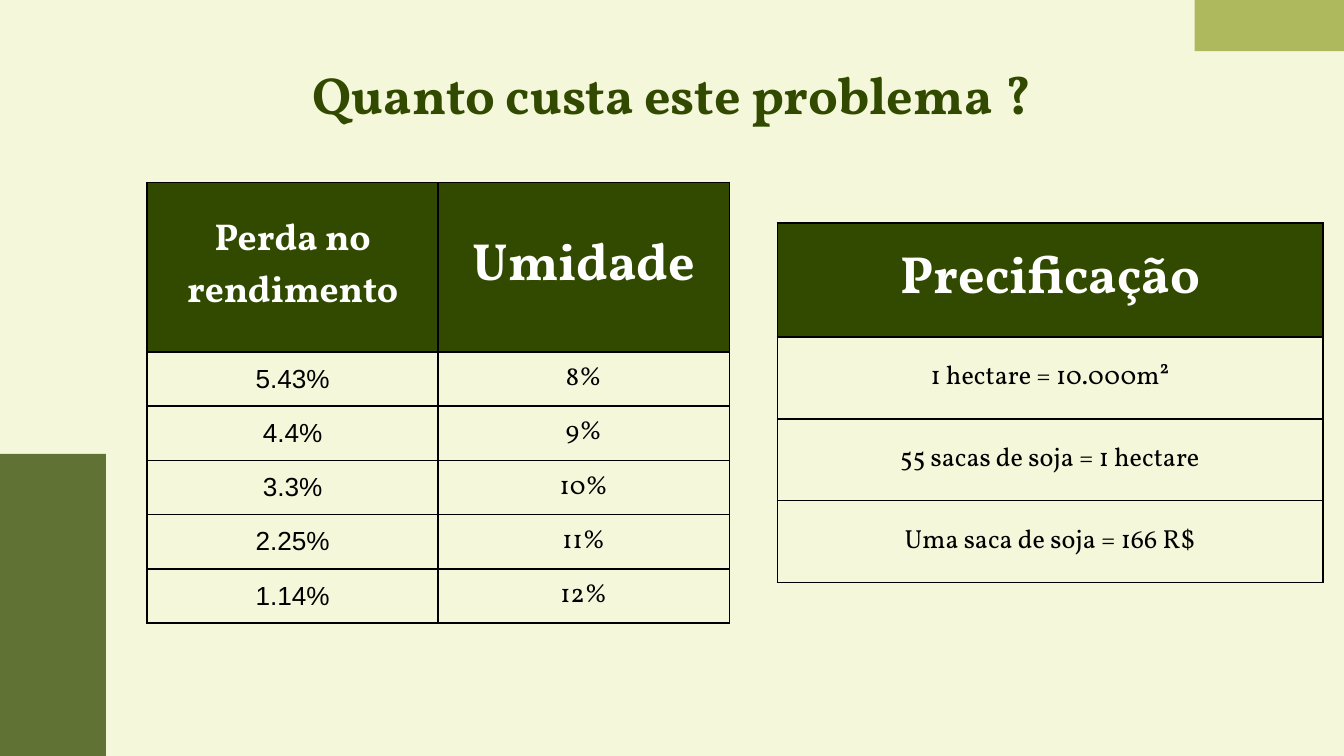
"""Builds the slide on what the moisture problem costs in yield."""
import pptx
import pptx.dml.color
import pptx.enum.shapes
import pptx.enum.text
import pptx.oxml
import pptx.oxml.ns
import pptx.util

Pt = pptx.util.Pt
RGBColor = pptx.dml.color.RGBColor
ANCHOR = pptx.enum.text.MSO_ANCHOR

CREAM = RGBColor(0xF4, 0xF7, 0xDA)
FOREST = RGBColor(0x32, 0x4A, 0x00)
OLIVE = RGBColor(0x7C, 0x8C, 0x03)
WHITE = RGBColor(0xFF, 0xFF, 0xFF)
BLACK = RGBColor(0x00, 0x00, 0x00)


def write(frame, text, font="Vollkorn", size=14, color=BLACK, bold=False):
    paragraph = frame.paragraphs[0]
    paragraph.alignment = pptx.enum.text.PP_ALIGN.CENTER
    run = paragraph.add_run()
    run.text = text
    run.font.name = font
    run.font.size = Pt(size)
    run.font.bold = bold
    run.font.color.rgb = color


class Deck:
    def __init__(self):
        self.presentation = pptx.Presentation()
        self.presentation.slide_width = Pt(720)
        self.presentation.slide_height = Pt(405)
        self.slide = self.presentation.slides.add_slide(self.presentation.slide_layouts[6])
        background = self.slide.background.fill
        background.solid()
        background.fore_color.rgb = CREAM

    def block(self, left, top, width, height, color, opacity):
        block = self.slide.shapes.add_shape(
            pptx.enum.shapes.MSO_SHAPE.RECTANGLE, Pt(left), Pt(top), Pt(width), Pt(height))
        block.shadow.inherit = False
        block.line.fill.background()
        block.fill.solid()
        block.fill.fore_color.rgb = color
        tint = block.fill._xPr.find(".//" + pptx.oxml.ns.qn("a:srgbClr"))
        tint.append(pptx.oxml.parse_xml(
            f'<a:alpha {pptx.oxml.ns.nsdecls("a")} val="{opacity * 1000}"/>'))

    def title(self, left, top, width, height, text):
        frame = self.slide.shapes.add_textbox(Pt(left), Pt(top), Pt(width), Pt(height)).text_frame
        frame.word_wrap = True
        frame.margin_left = frame.margin_right = Pt(7.2)
        frame.margin_top = frame.margin_bottom = Pt(7.2)
        write(frame, text, size=28, color=FOREST, bold=True)

    def border(self, cell):
        properties = cell._tc.get_or_add_tcPr()
        for side in ("L", "R", "T", "B"):
            properties.append(pptx.oxml.parse_xml(
                f'<a:ln{side} {pptx.oxml.ns.nsdecls("a")} w="{Pt(1)}"><a:solidFill>'
                f'<a:srgbClr val="{BLACK}"/></a:solidFill></a:ln{side}>'))

    def table(self, left, top, width, header_height, row_height, headers, rows, fonts):
        height = header_height + row_height * len(rows)
        table = self.slide.shapes.add_table(
            len(rows) + 1, len(headers), Pt(left), Pt(top), Pt(width), Pt(height)).table
        table.first_row = table.horz_banding = False
        for column in table.columns:
            column.width = Pt(width / len(headers))
        for index, row in enumerate(table.rows):
            row.height = Pt(row_height if index else header_height)
        for cell in table.iter_cells():
            cell.vertical_anchor = ANCHOR.MIDDLE
            self.border(cell)
            cell.fill.background()
        for column, (text, size) in enumerate(headers):
            cell = table.cell(0, column)
            cell.fill.solid()
            cell.fill.fore_color.rgb = FOREST
            write(cell.text_frame, text, size=size, color=WHITE, bold=True)
        for index, values in enumerate(rows, start=1):
            for column, (text, font) in enumerate(zip(values, fonts)):
                write(table.cell(index, column).text_frame, text, font=font)


def main():
    deck = Deck()
    deck.block(0, 243.2, 56.8, 161.8, FOREST, 76)
    deck.block(640, 0, 80, 27.5, OLIVE, 58)
    deck.title(0, 26, 720, 45, "Quanto custa este problema ?")
    losses = [("5.43%", "8%"), ("4.4%", "9%"), ("3.3%", "10%"), ("2.25%", "11%"), ("1.14%", "12%")]
    deck.table(78.8, 97.8, 312, 90.7, 29.1,
               [("Perda no rendimento", 20), ("Umidade", 28)], losses, ["Arial", "Vollkorn"])
    prices = [("1 hectare = 10.000m²",), ("55 sacas de soja = 1 hectare",),
              ("Uma saca de soja = 166 R$",)]
    deck.table(416.4, 119.4, 292.3, 61.1, 43.9, [("Precificação", 28)], prices, ["Vollkorn"])
    deck.presentation.save("out.pptx")


if __name__ == "__main__":
    main()
